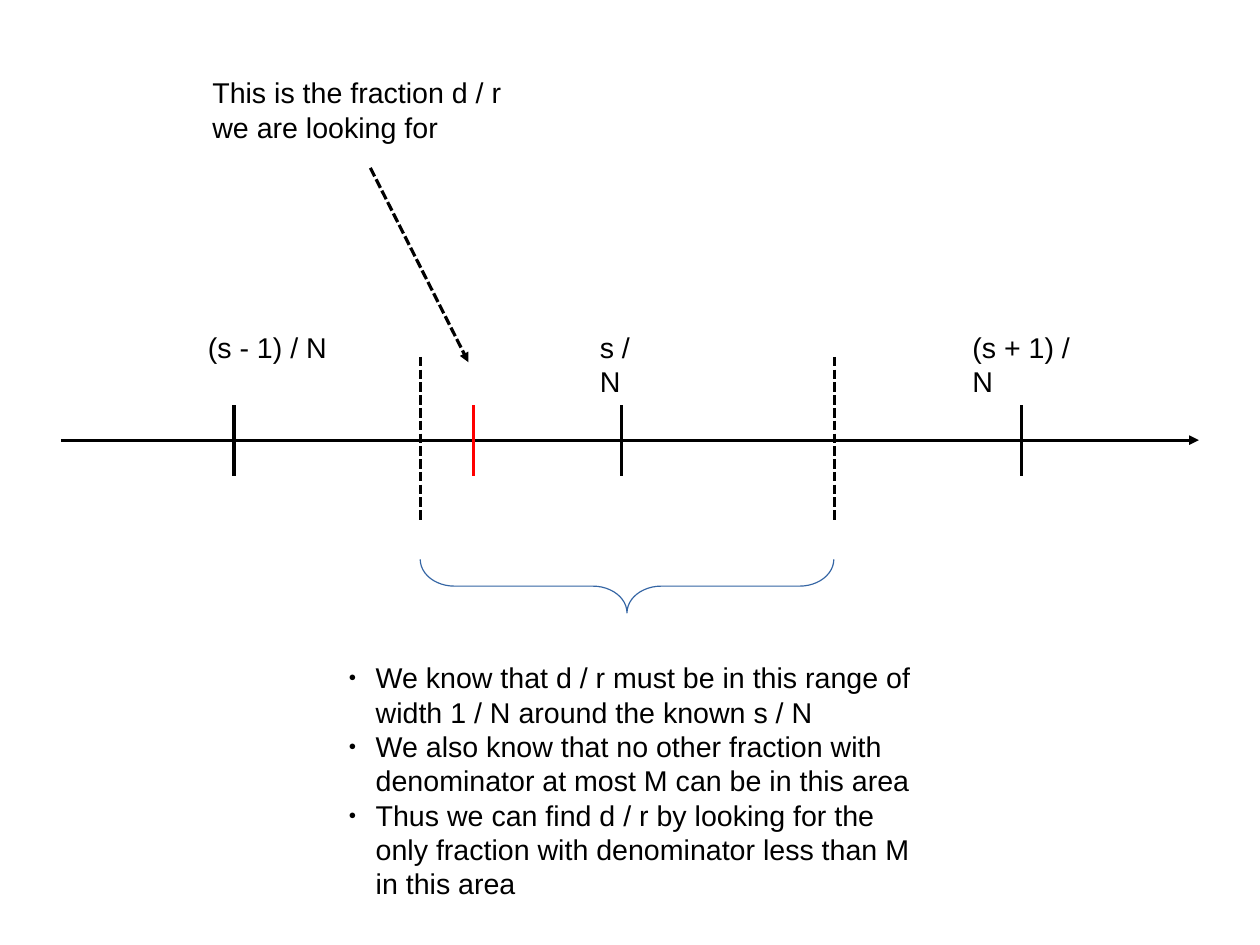
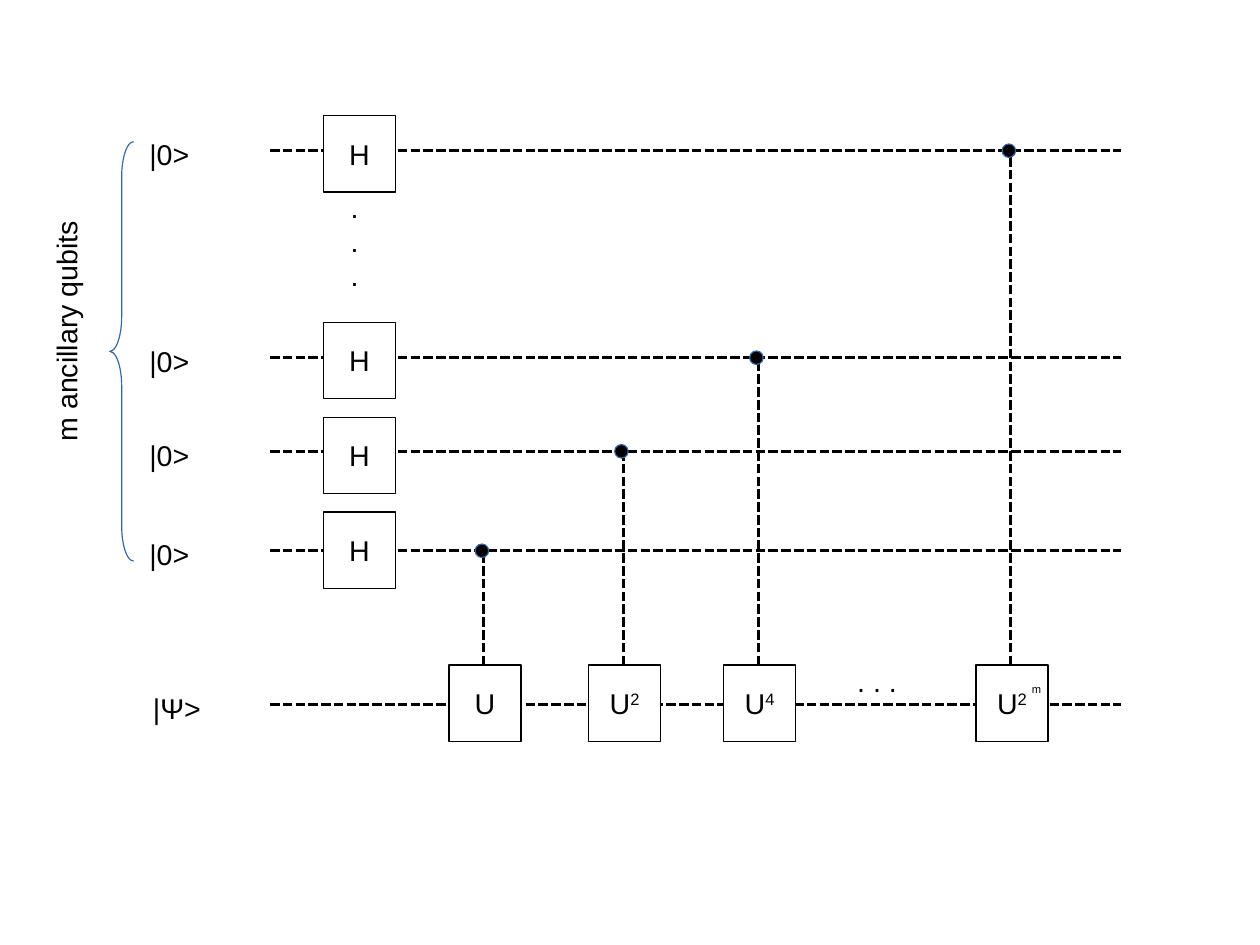
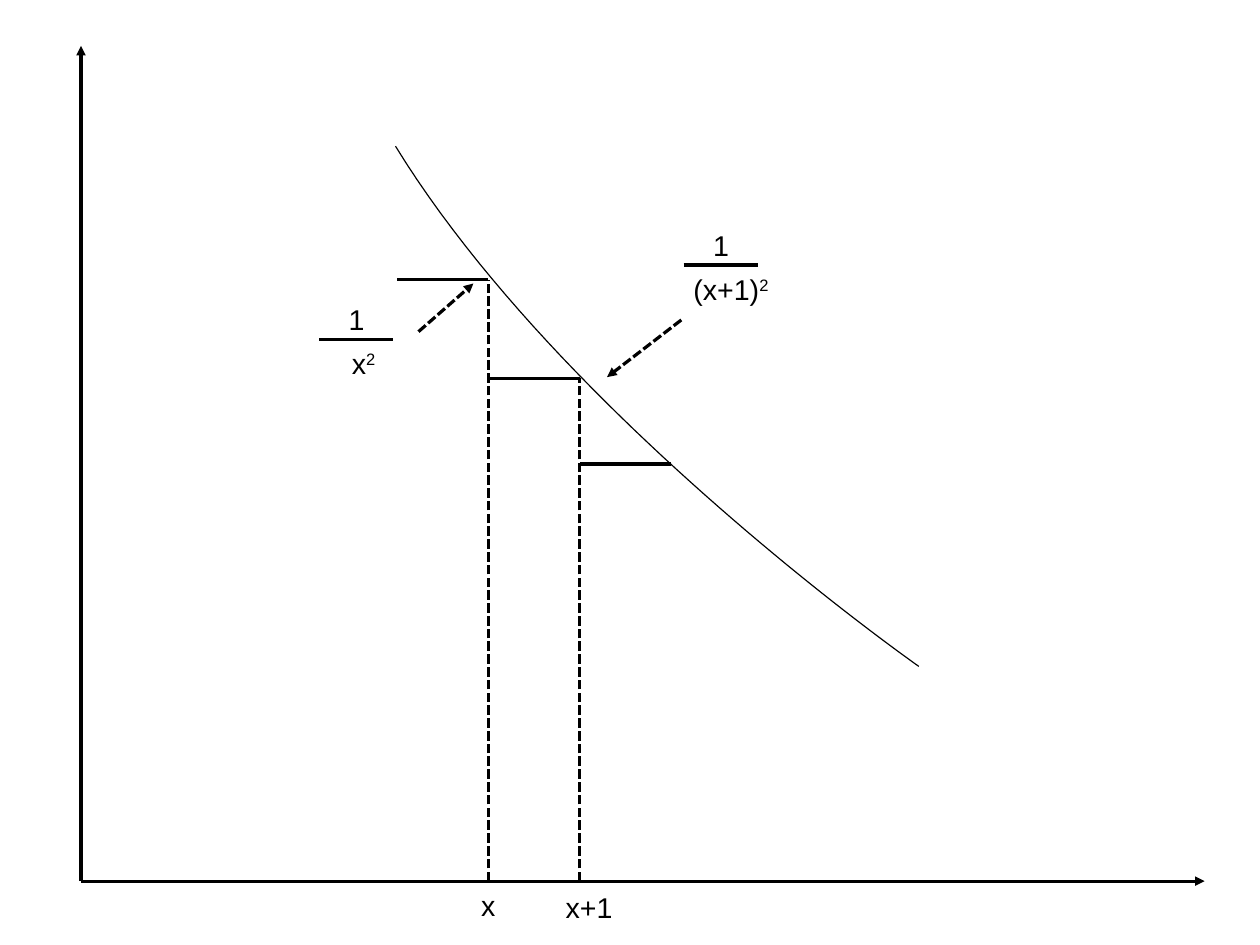
"""Three quantum algorithm diagrams on a grid of 28 columns by 21 rows."""
from dataclasses import dataclass

from lxml.etree import SubElement
from pptx import Presentation
from pptx.dml.color import RGBColor
from pptx.enum.dml import MSO_LINE
from pptx.enum.shapes import MSO_CONNECTOR, MSO_SHAPE
from pptx.enum.text import MSO_ANCHOR, MSO_AUTO_SIZE, PP_ALIGN
from pptx.oxml.ns import qn
from pptx.util import Cm, Pt

COLS, ROWS = 28, 21
CELL = Cm(1)
FONT, SIZE = "Arial", 18
BLACK, WHITE, BLUE, RED = "000000", "FFFFFF", "3465A4", "FF0000"
LABEL_H = 0.97
GATE_W, GATE_H = 1.6, 1.7
DOT = 0.3


@dataclass
class Label:
    text: str
    x: float
    y: float
    w: float
    h: float = LABEL_H
    size: float = SIZE
    wrap: bool = True
    bullets: bool = False
    rotation: float = 0


@dataclass
class Line:
    x1: float
    y1: float
    x2: float
    y2: float
    dashed: bool = False
    arrow: bool = False
    color: str = BLACK


@dataclass
class Brace:
    x: float
    y: float
    w: float
    h: float
    curl: float
    rotation: float = 0


@dataclass
class Wire:
    y: float
    gate_y: float


@dataclass
class Control:
    x: float
    wire: Wire
    text: str


@dataclass
class Fraction:
    x: float
    y: float
    denominator: str
    denominator_x: float


def rgb(color: str) -> RGBColor:
    return RGBColor.from_string(color)


def grid(*cells: float) -> list[int]:
    return [round(c * CELL) for c in cells]


def add_text(tf, text: str, size: float = SIZE, align=PP_ALIGN.LEFT, bullets: bool = False) -> None:
    for i, line in enumerate(text.split("\n")):
        p = tf.paragraphs[0] if i == 0 else tf.add_paragraph()
        p.alignment = align
        if bullets:
            pPr = p._p.get_or_add_pPr()
            pPr.set("marL", str(Cm(0.6)))
            pPr.set("indent", str(-Cm(0.6)))
            SubElement(pPr, qn("a:buSzPct"), val="45000")
            SubElement(pPr, qn("a:buFont"), typeface=FONT)
            SubElement(pPr, qn("a:buChar"), char="●")
        for j, part in enumerate(line.split("^")):
            r = p.add_run()
            r.text = part
            r.font.name, r.font.size = FONT, Pt(size)
            r.font.color.rgb = rgb(BLACK)
            if j:
                r._r.get_or_add_rPr().set("baseline", "33000")


def add_label(s, label: Label) -> None:
    sp = s.shapes.add_textbox(*grid(label.x, label.y, label.w, label.h))
    sp.rotation = label.rotation
    tf = sp.text_frame
    tf.word_wrap = label.wrap
    tf.auto_size = MSO_AUTO_SIZE.SHAPE_TO_FIT_TEXT
    add_text(tf, label.text, label.size, bullets=label.bullets)


def add_line(s, line: Line) -> None:
    cxn = s.shapes.add_connector(MSO_CONNECTOR.STRAIGHT, *grid(line.x1, line.y1, line.x2, line.y2))
    cxn.line.color.rgb = rgb(line.color)
    cxn.line.width = 0
    if line.dashed:
        cxn.line.dash_style = MSO_LINE.SQUARE_DOT
        cxn.line._ln.find(qn("a:prstDash")).set("val", "sysDash")
    if line.arrow:
        SubElement(cxn.line._ln, qn("a:tailEnd"), type="triangle")
    SubElement(cxn._element.spPr, qn("a:effectLst"))


def style(sp, fill: str | None, line: str) -> None:
    sp.shadow.inherit = False
    if fill:
        sp.fill.solid()
        sp.fill.fore_color.rgb = rgb(fill)
    else:
        sp.fill.background()
    sp.line.color.rgb = rgb(line)
    sp.line.width = 0


def add_brace(s, brace: Brace) -> None:
    sp = s.shapes.add_shape(MSO_SHAPE.LEFT_BRACE, *grid(brace.x, brace.y, brace.w, brace.h))
    sp.adjustments[0] = brace.curl
    sp.rotation = brace.rotation
    style(sp, None, BLUE)


def add_gate(s, x: float, y: float, text: str) -> None:
    sp = s.shapes.add_shape(MSO_SHAPE.RECTANGLE, *grid(x, y, GATE_W, GATE_H))
    style(sp, WHITE, BLACK)
    tf = sp.text_frame
    tf.word_wrap = False
    tf.vertical_anchor = MSO_ANCHOR.MIDDLE
    add_text(tf, text, align=PP_ALIGN.CENTER)


def add_control(s, control: Control, target: Wire) -> None:
    x, y = control.x + GATE_W / 2 - 0.03, control.wire.y
    add_line(s, Line(x, target.gate_y, x, y, dashed=True))
    sp = s.shapes.add_shape(MSO_SHAPE.OVAL, *grid(x - 0.04 - DOT / 2, y - DOT / 2, DOT, DOT))
    style(sp, BLACK, BLUE)
    add_gate(s, control.x, target.gate_y, control.text)


def add_fraction(s, f: Fraction) -> None:
    add_line(s, Line(f.x, f.y, f.x + 1.65, f.y))
    add_label(s, Label("1", f.x + 0.41, f.y - 0.95, 1.27))
    add_label(s, Label(f.denominator, f.denominator_x, f.y + 0.03, 3.02))


def add_curve(s, points: list[tuple[float, float]], steps: int = 48) -> None:
    def at(t: float) -> tuple[float, float]:
        weights = ((1 - t) ** 3, 3 * t * (1 - t) ** 2, 3 * t * t * (1 - t), t ** 3)
        x, y = (sum(w * v for w, v in zip(weights, axis)) for axis in zip(*points))
        return x * CELL, y * CELL

    builder = s.shapes.build_freeform(*at(0), scale=1.0)
    builder.add_line_segments([at(i / steps) for i in range(1, steps + 1)], close=False)
    style(builder.convert_to_shape(), None, BLACK)


def number_line(s) -> None:
    add_line(s, Line(1.35, 9.78, 26.64, 9.78, arrow=True))
    for x, color in ((5.2, BLACK), (13.82, BLACK), (22.7, BLACK), (10.52, RED)):
        add_line(s, Line(x, 9, x, 10.57, color=color))
    for text, x, w in (("(s - 1) / N", 4.37, 3.15), ("s / N", 13.08, 1.8), ("(s + 1) / N", 21.36, 3.3)):
        add_label(s, Label(text, x, 7.21, w, wrap=False))
    for x in (9.35, 18.54):
        add_line(s, Line(x, 7.93, x, 11.56, dashed=True))
    add_brace(s, Brace(13.34, 8.43, 1.19, 9.19, 0.64, rotation=270))
    add_label(s, Label(
        "We know that d / r must be in this range of width 1 / N around the known s / N\n"
        "We also know that no other fraction with denominator at most M can be in this area\n"
        "Thus we can find d / r by looking for the only fraction with denominator less than M in this area",
        7.5, 14.55, 13.23, 5.94, bullets=True))
    add_line(s, Line(8.23, 3.73, 10.41, 8.05, dashed=True, arrow=True))
    add_label(s, Label("This is the fraction d / r we are looking for", 4.47, 1.55, 7.44, 1.68))


def circuit(s) -> None:
    ancillas = [Wire(3.35, 2.57), Wire(7.95, 7.16), Wire(10.03, 9.27), Wire(12.24, 11.38)]
    target = Wire(15.65, 14.78)
    for wire in (*ancillas, target):
        add_line(s, Line(6, wire.y, 24.9, wire.y, dashed=True))
        text, x = ("|Ψ>", 3.15) if wire is target else ("|0>", 3.07)
        add_label(s, Label(text, x, wire.y - 0.43, 2.13))
    for wire in ancillas:
        add_gate(s, 7.19, wire.gate_y, "H")
    top, upper, middle, bottom = ancillas
    for control in (Control(9.98, bottom, "U"), Control(13.08, middle, "U^2"),
                    Control(16.08, upper, "U^4"), Control(21.69, top, "U^2")):
        add_control(s, control, target)
    add_brace(s, Brace(2.44, 3.15, 0.53, 9.32, 1.46))
    for label in (Label("m ancillary qubits", -1.4, 6.02, 6.4, 1.68, rotation=270),
                  Label(".\n.\n.", 7.54, 4.09, 0.99, 2.39),
                  Label("m", 22.68, 15.04, 1.27, 1.68, size=7),
                  Label(". . .", 18.8, 14.63, 2.97)):
        add_label(s, label)


def staircase(s) -> None:
    x0, y0, step, first = 1.8, 19.58, 2.03, 10.85
    add_line(s, Line(x0, y0, x0, 1.02, arrow=True))
    add_line(s, Line(x0, y0, 26.77, y0, arrow=True))
    add_curve(s, [(8.79, 3.25), (12.47, 9.25), (20.42, 14.81), (20.42, 14.81)])
    for i, y in enumerate((6.22, 8.41, 10.31)):
        x = first + i * step
        add_line(s, Line(x, y, x - step, y))
        if i < 2:
            add_line(s, Line(x, y0, x, y, dashed=True))
    add_label(s, Label("x", 10.44, 19.61, 1.8))
    add_label(s, Label("x+1", 12.32, 19.66, 1.8))
    add_fraction(s, Fraction(7.09, 7.54, "x^2", 7.57))
    add_fraction(s, Fraction(15.19, 5.89, "(x+1)^2", 15.16))
    add_line(s, Line(9.3, 7.37, 10.52, 6.3, dashed=True, arrow=True))
    add_line(s, Line(15.14, 7.11, 13.49, 8.38, dashed=True, arrow=True))


def main() -> None:
    prs = Presentation()
    prs.slide_width, prs.slide_height = grid(COLS, ROWS)
    for draw in (number_line, circuit, staircase):
        draw(prs.slides.add_slide(prs.slide_layouts[6]))
    prs.save("out.pptx")


if __name__ == "__main__":
    main()
